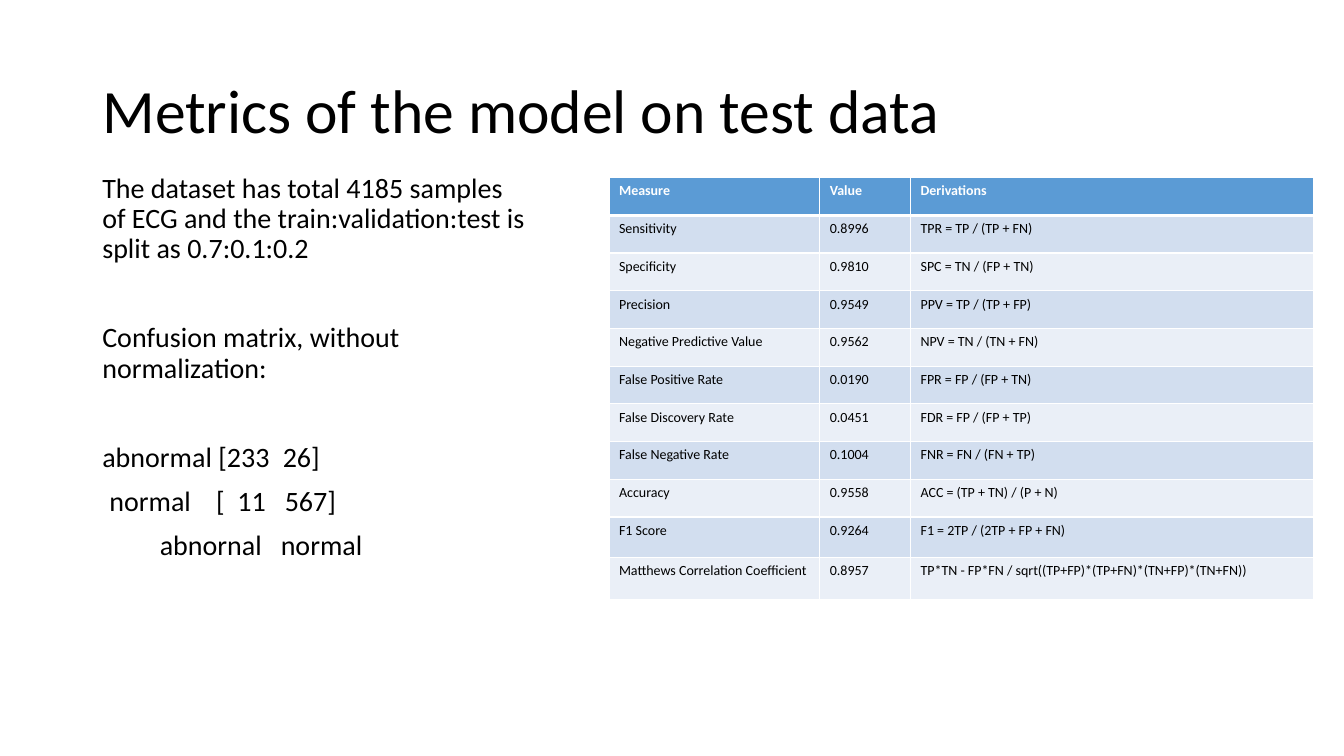
"""Build a slide of test metrics for an ECG classifier."""
from lxml.etree import SubElement
from pptx import Presentation
from pptx.dml.color import RGBColor
from pptx.enum.text import MSO_ANCHOR
from pptx.oxml.ns import qn
from pptx.util import Inches, Pt

WIDTH, HEIGHT = Inches(13.33), Inches(7.5)
COL, ROW = WIDTH / 160, HEIGHT / 90
FONT = "Calibri"
BLACK, WHITE, HEADER = "000000", "FFFFFF", "5B9BD5"
BANDS = ("D2DEEF", "EAEFF7")
COLUMN_WIDTHS = (25.1, 10.8, 48)
ROW_HEIGHTS = [4.49] * 9 + [4.8, 5.05]

NOTES = [
    ("The dataset has total 4185 samples of ECG and the "
     "train:validation:test is split as 0.7:0.1:0.2", 10, ()),
    ("Confusion matrix, without normalization:", 42, ()),
    ("abnormal [233\t26]", 42, (1.79,)),
    ("\tnormal\t[\t11\t567]", 10, (0.07, 1.13, 1.34, 1.81)),
    ("\tabnornal\tnormal", 10, (0.57, 1.77)),
]

METRICS = [
    ("Measure", "Value", "Derivations"),
    ("Sensitivity", "0.8996", "TPR = TP / (TP + FN)"),
    ("Specificity", "0.9810", "SPC = TN / (FP + TN)"),
    ("Precision", "0.9549", "PPV = TP / (TP + FP)"),
    ("Negative Predictive Value", "0.9562", "NPV = TN / (TN + FN)"),
    ("False Positive Rate", "0.0190", "FPR = FP / (FP + TN)"),
    ("False Discovery Rate", "0.0451", "FDR = FP / (FP + TP)"),
    ("False Negative Rate", "0.1004", "FNR = FN / (FN + TP)"),
    ("Accuracy", "0.9558", "ACC = (TP + TN) / (P + N)"),
    ("F1 Score", "0.9264", "F1 = 2TP / (2TP + FP + FN)"),
    ("Matthews Correlation Coefficient", "0.8957",
     "TP*TN - FP*FN / sqrt((TP+FP)*(TP+FN)*(TN+FP)*(TN+FN))"),
]


def rgb(color):
    return RGBColor.from_string(color)


def grid(x, y, w, h):
    return round(x * COL), round(y * ROW), round(w * COL), round(h * ROW)


def add_run(p, text, size, color=BLACK, bold=False):
    r = p.add_run()
    r.text = text
    r.font.name, r.font.size, r.font.bold = FONT, Pt(size), bold
    r.font.color.rgb = rgb(color)


def set_tabs(p, stops):
    tabs = SubElement(p._p.get_or_add_pPr(), qn("a:tabLst"))
    for stop in stops:
        SubElement(tabs, qn("a:tab"), pos=str(Inches(stop)), algn="l")


def add_text(s, area, paragraphs, size, anchor=MSO_ANCHOR.TOP):
    tf = s.shapes.add_textbox(*grid(*area)).text_frame
    tf.word_wrap = True
    tf.vertical_anchor = anchor
    for i, (text, before, stops) in enumerate(paragraphs):
        p = tf.add_paragraph() if i else tf.paragraphs[0]
        p.line_spacing, p.space_before = 0.9, Pt(before)
        if stops:
            set_tabs(p, stops)
        add_run(p, text, size)


def set_borders(cell, bottom):
    tcPr = cell._tc.get_or_add_tcPr()
    for side, width in (("L", 1), ("R", 1), ("T", 1), ("B", bottom)):
        ln = SubElement(tcPr, qn(f"a:ln{side}"), w=str(Pt(width)))
        SubElement(SubElement(ln, qn("a:solidFill")), qn("a:srgbClr"), val=WHITE)


def fill_cell(cell, text, row):
    header = row == 0
    set_borders(cell, 3 if header else 1)
    cell.fill.solid()
    cell.fill.fore_color.rgb = rgb(HEADER if header else BANDS[(row - 1) % 2])
    add_run(cell.text_frame.paragraphs[0], text, 10,
            WHITE if header else BLACK, header)


def add_metrics(s, x, y):
    area = grid(x, y, sum(COLUMN_WIDTHS), sum(ROW_HEIGHTS))
    table = s.shapes.add_table(len(METRICS), len(COLUMN_WIDTHS), *area).table
    for column, width in zip(table.columns, COLUMN_WIDTHS):
        column.width = round(width * COL)
    for row, height in zip(table.rows, ROW_HEIGHTS):
        row.height = round(height * ROW)
    for i, values in enumerate(METRICS):
        for j, text in enumerate(values):
            fill_cell(table.cell(i, j), text, i)


def main():
    prs = Presentation()
    prs.slide_width, prs.slide_height = WIDTH, HEIGHT
    s = prs.slides.add_slide(prs.slide_layouts[6])
    title = [("Metrics of the model on test data", 0, ())]
    add_text(s, (11, 4.8, 138, 17.4), title, 44, MSO_ANCHOR.MIDDLE)
    add_text(s, (11, 20.16, 53, 56.2), NOTES, 20)
    add_metrics(s, 72.5, 21.15)
    prs.save("out.pptx")


if __name__ == "__main__":
    main()
